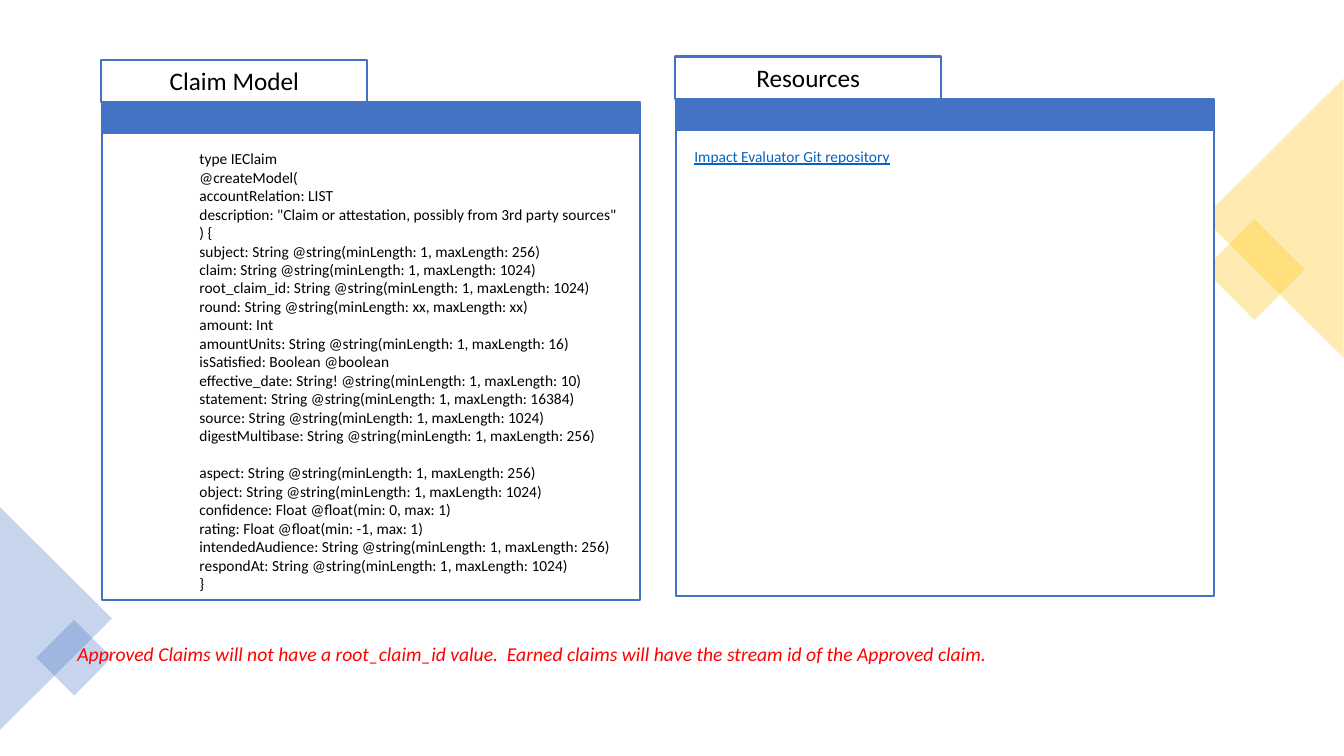
from pptx import Presentation
from pptx.util import Pt
from pptx.dml.color import RGBColor
from pptx.enum import shapes, text
from pptx.oxml.ns import qn
from lxml import etree

theme = {
    "font": "Calibri",
    "blue": "4472C4", "gold": "FFC000", "white": "FFFFFF",
    "black": "000000", "red": "FF0000", "link": "0563C1",
    "title": 18, "note": 14, "body": 11, "alpha": 30000,
}
kind = shapes.MSO_SHAPE


def draw(home, form, x, y, w, h, fill=None, line=None, alpha=None, turn=0):
    item = home.add_shape(form, Pt(x), Pt(y), Pt(w), Pt(h))
    item.shadow.inherit = False
    item.rotation = turn
    if fill:
        item.fill.solid()
        item.fill.fore_color.rgb = RGBColor.from_string(theme[fill])
    else:
        item.fill.background()
    if alpha:
        tint = item.element.spPr.find(qn("a:solidFill"))[0]
        etree.SubElement(tint, qn("a:alpha"), val=str(alpha))
    if line:
        item.line.color.rgb = RGBColor.from_string(theme[line])
        item.line.width = Pt(1.5)
    else:
        item.line.fill.background()
    return item


def write(item, lines, size="body", color="black", wrap=True, center=False,
          italic=False, under=False, gap=None):
    frame = item.text_frame
    frame.word_wrap = wrap
    for n, line in enumerate(lines):
        para = frame.paragraphs[0] if n == 0 else frame.add_paragraph()
        para.alignment = text.PP_ALIGN.CENTER if center else text.PP_ALIGN.LEFT
        if gap and line.startswith(gap):
            para.space_before = Pt(13.2)
        run = para.add_run()
        run.text = line
        font = run.font
        font.name = theme["font"]
        font.size = Pt(theme[size])
        font.color.rgb = RGBColor.from_string(theme[color])
        font.italic = italic
        font.underline = under


model = [
    "type IEClaim",
    "@createModel(",
    "accountRelation: LIST",
    'description: "Claim or attestation, possibly from 3rd party sources"',
    ") {",
    "subject: String @string(minLength: 1, maxLength: 256)",
    "claim: String @string(minLength: 1, maxLength: 1024)",
    "root_claim_id: String @string(minLength: 1, maxLength: 1024)",
    "round: String @string(minLength: xx, maxLength: xx)",
    "amount: Int",
    "amountUnits: String @string(minLength: 1, maxLength: 16)",
    "isSatisfied: Boolean @boolean",
    "effective_date: String! @string(minLength: 1, maxLength: 10)",
    "statement: String @string(minLength: 1, maxLength: 16384)",
    "source: String @string(minLength: 1, maxLength: 1024)",
    "digestMultibase: String @string(minLength: 1, maxLength: 256)",
    "aspect: String @string(minLength: 1, maxLength: 256)",
    "object: String @string(minLength: 1, maxLength: 1024)",
    "confidence: Float @float(min: 0, max: 1)",
    "rating: Float @float(min: -1, max: 1)",
    "intendedAudience: String @string(minLength: 1, maxLength: 256)",
    "respondAt: String @string(minLength: 1, maxLength: 1024)",
    "}",
]

deck = Presentation()
deck.slide_width, deck.slide_height = Pt(960), Pt(540)
slide = deck.slides.add_slide(deck.slide_layouts[6])

for form, x, y, w, h, turn, fill in [
    (kind.RECTANGLE, 870.5, 167, 51, 51, 45, "gold"),
    (kind.ISOSCELES_TRIANGLE, 810, 105.8, 199.4, 100, 270, "gold"),
    (kind.ISOSCELES_TRIANGLE, -39.6, 401.8, 159.1, 80, 90, "blue"),
    (kind.RECTANGLE, 33.8, 450.7, 38.2, 38.2, 45, "blue"),
]:
    draw(slide.shapes, form, x, y, w, h, fill, alpha=theme["alpha"], turn=turn)

note = slide.shapes.add_textbox(Pt(48.2), Pt(455), Pt(670.3), Pt(24.5))
write(note, ["Approved Claims will not have a root_claim_id value.  "
             "Earned claims will have the stream id of the Approved claim."],
      size="note", color="red", wrap=False, italic=True)

for title, x, y, dx, dy, high, lines, look in [
    ("Claim Model", 72.7, 42.7, 62.7, 60.3, 326.9, model, {"gap": "aspect"}),
    ("Resources", 482.6, 40.4, 6.3, 61.1, 20.9,
     ["Impact Evaluator Git repository"], {"color": "link", "under": True}),
]:
    panel = slide.shapes.add_group_shape().shapes
    tab = draw(panel, kind.RECTANGLE, x - 0.3, y, 190, 30.2, line="blue")
    write(tab, [title], size="title", center=True)
    draw(panel, kind.RECTANGLE, x, y + 30.2, 384.5, 259.2, "blue", "blue")
    draw(panel, kind.RECTANGLE, x, y + 52.2, 384.5, 333.4, "white", "blue")
    body = panel.add_textbox(Pt(x + dx), Pt(y + dy), Pt(357.8), Pt(high))
    write(body, lines, **look)

deck.save("out.pptx")
